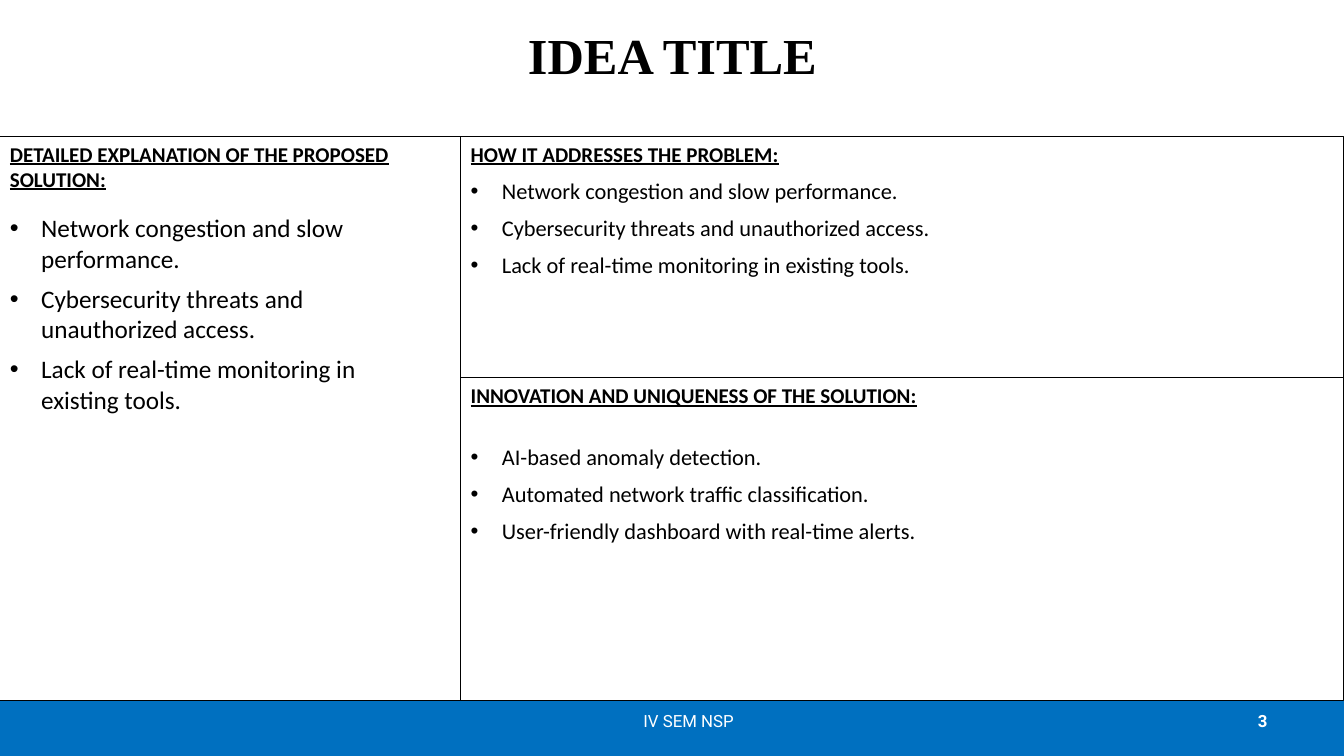
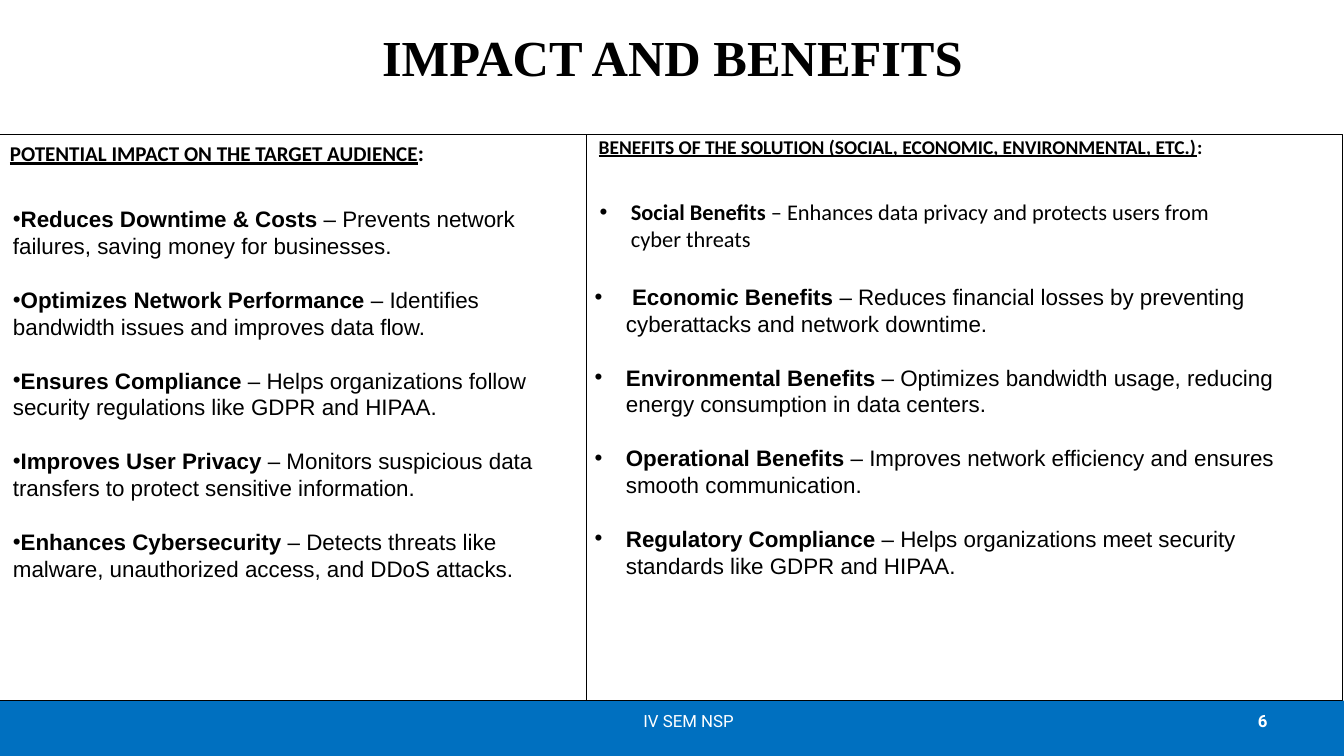
"""Build the idea and the impact slides of the network project deck."""
from lxml import etree
from pptx import Presentation
from pptx import util as u
from pptx.dml.color import RGBColor
from pptx.enum import shapes, text
from pptx.oxml.ns import qn

BLACK = RGBColor(0x00, 0x00, 0x00)
WHITE = RGBColor(0xFF, 0xFF, 0xFF)
BLUE = RGBColor(0x00, 0x70, 0xC0)
WIDTH, HEIGHT, BAND_TOP = 13.33, 7.5, 6.95
FOOTER = "IV SEM NSP"
HANGING = 0.31

PROBLEMS = [
    "Network congestion and slow performance.",
    "Cybersecurity threats and unauthorized access.",
    "Lack of real-time monitoring in existing tools.",
]
INNOVATIONS = [
    "AI-based anomaly detection.",
    "Automated network traffic classification.",
    "User-friendly dashboard with real-time alerts.",
]
IMPACTS = [
    ("Reduces Downtime & Costs", " – Prevents network failures, saving money for businesses."),
    ("Optimizes Network Performance", " – Identifies bandwidth issues and improves data flow."),
    ("Ensures Compliance", " – Helps organizations follow security regulations like GDPR and HIPAA."),
    ("Improves User Privacy", " – Monitors suspicious data transfers to protect sensitive information."),
    ("Enhances Cybersecurity", " – Detects threats like malware, unauthorized access, and DDoS attacks."),
]
SOCIAL = [("Social Benefits", " – Enhances data privacy and protects users from cyber threats")]
BENEFITS = [
    (" Economic Benefits", " – Reduces financial losses by preventing cyberattacks and network downtime."),
    ("Environmental Benefits", " – Optimizes bandwidth usage, reducing energy consumption in data centers."),
    ("Operational Benefits", " – Improves network efficiency and ensures smooth communication."),
    ("Regulatory Compliance", " – Helps organizations meet security standards like GDPR and HIPAA."),
]

LIST_16 = {"size": 16, "after": 7.2}
LIST_18 = {"size": 18, "after": 7.2}
ARIAL_LIST = {"size": 16, "font": "Arial", "line": 19.2, "gap": 19.2}

SLIDES = [
    {
        "title": "IDEA TITLE", "title_top": -0.09, "number": "3",
        "panels": [(0, 1.35, 4.57, 5.6), (4.57, 1.35, 8.76, 2.4), (4.57, 3.75, 8.76, 3.2)],
        "blocks": [
            {"at": (0, 1.35, 4.57, 0.61),
             "heading": ("DETAILED EXPLANATION OF THE PROPOSED SOLUTION:",)},
            {"at": (0, 2.06, 3.88, 2.52), "items": PROBLEMS, "style": LIST_18},
            {"at": (4.57, 1.35, 8.76, 1.82), "heading": ("HOW IT ADDRESSES THE PROBLEM:",),
             "items": PROBLEMS, "style": LIST_16},
            {"at": (4.57, 3.75, 8.76, 2.47), "heading": ("INNOVATION AND UNIQUENESS OF THE SOLUTION:",),
             "heading_after": 25, "items": INNOVATIONS, "style": LIST_16},
        ],
    },
    {
        "title": "IMPACT AND BENEFITS", "title_top": -0.07, "number": "6",
        "panels": [(5.82, 1.33, 7.5, 5.62), (-0.01, 1.33, 5.83, 5.62)],
        "blocks": [
            {"at": (0, 1.33, 5.83, 0.4), "heading": ("POTENTIAL IMPACT ON THE TARGET AUDIENCE", ":"),
             "tail_size": 16},
            {"at": (5.84, 1.29, 7.5, 0.33), "heading_size": 13.9, "tail_size": 13.9,
             "heading": ("BENEFITS OF THE SOLUTION (SOCIAL, ECONOMIC, ENVIRONMENTAL, ETC.)", ":")},
            {"at": (0.03, 1.99, 5.66, 3.87), "items": IMPACTS, "style": ARIAL_LIST, "hanging": 0},
            {"at": (5.85, 1.92, 6.44, 0.64), "items": SOCIAL, "style": {"size": 16}},
            {"at": (5.8, 2.76, 7.5, 3.04), "items": BENEFITS, "style": ARIAL_LIST},
        ],
    },
]


def add_run(paragraph, words, size, font="Calibri", color=BLACK, bold=False, underline=False):
    run = paragraph.add_run()
    run.text = words
    run.font.size = u.Pt(size)
    run.font.name = font
    run.font.color.rgb = color
    run.font.bold = bold
    run.font.underline = underline


def add_text_frame(slide, at, anchor=text.MSO_ANCHOR.TOP):
    frame = slide.shapes.add_textbox(*map(u.Inches, at)).text_frame
    frame.word_wrap = True
    frame.vertical_anchor = anchor
    return frame


def add_label(slide, at, words, align, **style):
    paragraph = add_text_frame(slide, at, text.MSO_ANCHOR.MIDDLE).paragraphs[0]
    paragraph.alignment = align
    add_run(paragraph, words, **style)


def add_rectangle(slide, at, fill=None, line=None):
    shape = slide.shapes.add_shape(shapes.MSO_SHAPE.RECTANGLE, *map(u.Inches, at))
    shape.shadow.inherit = False
    for part, color in ((shape.fill, fill), (shape.line.fill, line)):
        if color is None:
            part.background()
        else:
            part.solid()
            part.fore_color.rgb = color
    if line is not None:
        shape.line.width = u.Pt(0.75)


def set_bullet(paragraph, hanging):
    properties = paragraph._p.get_or_add_pPr()
    properties.set("marL", str(u.Inches(hanging)))
    properties.set("indent", str(-u.Inches(hanging)))
    etree.SubElement(properties, qn("a:buFont")).set("typeface", "Arial")
    etree.SubElement(properties, qn("a:buChar")).set("char", "•")


def add_heading(paragraph, block):
    words, *tail = block["heading"]
    paragraph.space_after = u.Pt(block.get("heading_after", 8))
    add_run(paragraph, words, block.get("heading_size", 15), bold=True, underline=True)
    for ending in tail:
        add_run(paragraph, ending, block["tail_size"], bold=True)


def add_item(paragraph, item, style, hanging, first):
    paragraph.space_after = u.Pt(style.get("after", 0))
    if "line" in style:
        paragraph.line_spacing = u.Pt(style["line"])
    if not first:
        paragraph.space_before = u.Pt(style.get("gap", 0))
    set_bullet(paragraph, hanging)
    lead, rest = ("", item) if isinstance(item, str) else item
    for words, bold in ((lead, True), (rest, False)):
        if words:
            add_run(paragraph, words, style["size"], style.get("font", "Calibri"), bold=bold)


def add_block(slide, block):
    frame = add_text_frame(slide, block["at"])
    unused = [frame.paragraphs[0]]

    def next_paragraph():
        return unused.pop() if unused else frame.add_paragraph()

    if "heading" in block:
        add_heading(next_paragraph(), block)
    for index, item in enumerate(block.get("items", [])):
        add_item(next_paragraph(), item, block["style"], block.get("hanging", HANGING), index == 0)


def add_slide(presentation, content):
    slide = presentation.slides.add_slide(presentation.slide_layouts[6])
    add_rectangle(slide, (0, BAND_TOP, WIDTH, HEIGHT - BAND_TOP), fill=BLUE)
    add_label(slide, (0.67, content["title_top"], 12, 1.25), content["title"], text.PP_ALIGN.CENTER,
              size=36, font="Times New Roman", bold=True)
    add_label(slide, (9.56, BAND_TOP, 3.11, 0.4), content["number"], text.PP_ALIGN.RIGHT,
              size=12, font="Roboto", color=WHITE, bold=True)
    add_label(slide, (5.08, BAND_TOP, 3.5, 0.4), FOOTER, text.PP_ALIGN.CENTER,
              size=12, font="Roboto", color=WHITE)
    for at in content["panels"]:
        add_rectangle(slide, at, line=BLACK)
    for block in content["blocks"]:
        add_block(slide, block)


def main():
    presentation = Presentation()
    presentation.slide_width = u.Inches(WIDTH)
    presentation.slide_height = u.Inches(HEIGHT)
    for content in SLIDES:
        add_slide(presentation, content)
    presentation.save("out.pptx")


if __name__ == "__main__":
    main()
